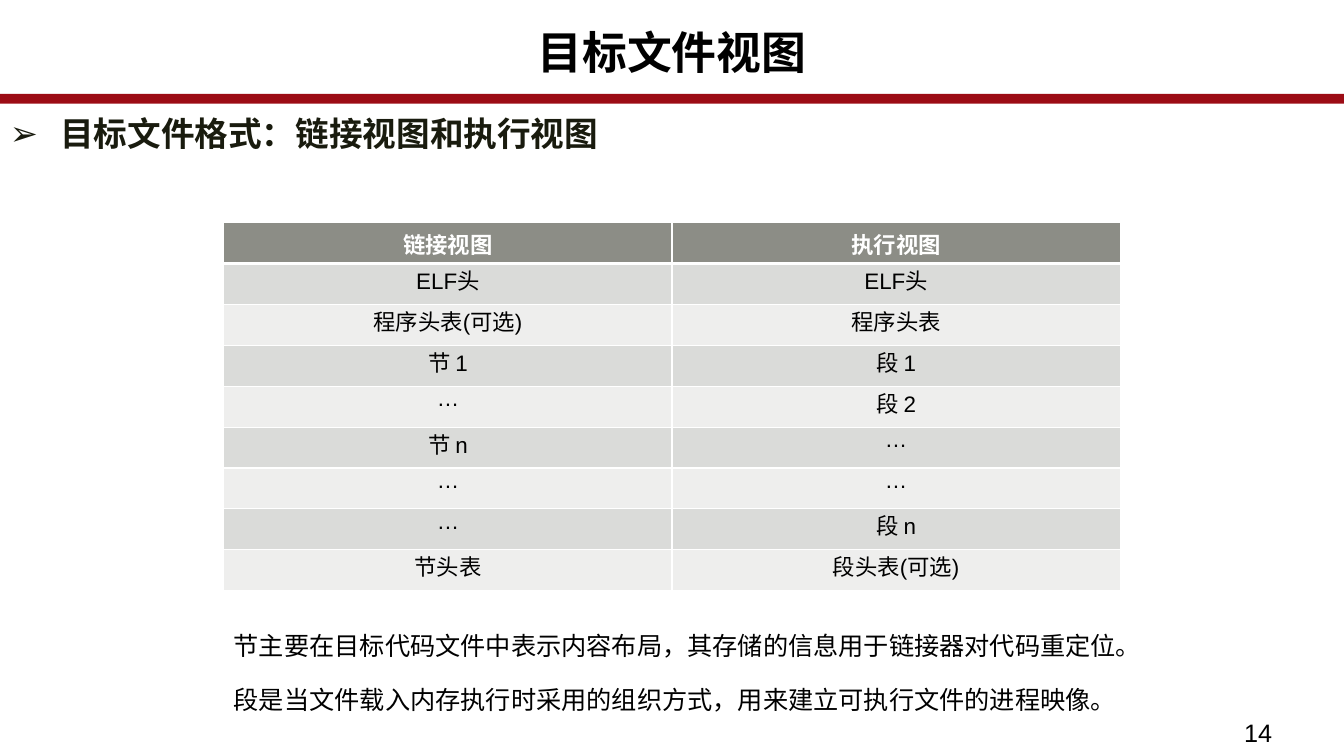
import dataclasses

import lxml.etree
import pptx
import pptx.dml.color
import pptx.enum.shapes
import pptx.enum.text
import pptx.oxml.ns
import pptx.util

Inches = pptx.util.Inches
Pt = pptx.util.Pt
ALIGN = pptx.enum.text.PP_ALIGN
ANCHOR = pptx.enum.text.MSO_ANCHOR


@dataclasses.dataclass(frozen=True)
class Theme:
    """Colours, font and type sizes of the slide."""
    font: str = "Arial"
    ink: str = "000000"
    heading: str = "191B0E"
    white: str = "FFFFFF"
    rule: str = "9C0C15"
    header: str = "8C8D86"
    bands: tuple = ("DADBD9", "EEEEED")
    title_size: int = 32
    heading_size: int = 24
    body_size: int = 18
    table_size: int = 16


THEME = Theme()
ROWS = [
    ("链接视图", "执行视图"),
    ("ELF头", "ELF头"),
    ("程序头表(可选)", "程序头表"),
    ("节 1", "段 1"),
    ("…", "段 2"),
    ("节 n", "…"),
    ("…", "…"),
    ("…", "段 n"),
    ("节头表", "段头表(可选)"),
]
NOTES = [
    "节主要在目标代码文件中表示内容布局，其存储的信息用于链接器对代码重定位。",
    "段是当文件载入内存执行时采用的组织方式，用来建立可执行文件的进程映像。",
]


def rgb(value):
    """Turn a hex string into a colour."""
    return pptx.dml.color.RGBColor.from_string(value)


def add_xml(parent, tag, **attrs):
    """Append a DrawingML element."""
    return lxml.etree.SubElement(parent, pptx.oxml.ns.qn(tag), attrs)


def write(p, text, size=THEME.body_size, color=THEME.ink, bold=False,
          align=ALIGN.LEFT, line=None, before=None):
    """Write formatted text into a paragraph."""
    p.alignment = align
    if line is not None:
        p.line_spacing = line
    if before is not None:
        p.space_before = Pt(before)
    r = p.add_run()
    r.text = text
    r.font.name = THEME.font
    r.font.size = Pt(size)
    r.font.bold = bold
    r.font.color.rgb = rgb(color)


def add_box(s, x, y, w, h):
    """Add a wrapping text box and return its text frame."""
    tf = s.shapes.add_textbox(Inches(x), Inches(y), Inches(w), Inches(h)).text_frame
    tf.word_wrap = True
    return tf


def add_title(s, x, y, w, h):
    """Place the title and the red rule along its lower edge."""
    bar = s.shapes.add_shape(pptx.enum.shapes.MSO_SHAPE.ROUNDED_RECTANGLE,
                             Inches(x), Inches(y + h - 0.06), Inches(w), Inches(0.06))
    bar.shadow.inherit = False
    bar.fill.solid()
    bar.fill.fore_color.rgb = rgb(THEME.rule)
    bar.line.color.rgb = rgb(THEME.rule)
    bar.line.width = Pt(2.75)
    title = s.shapes.title
    title.left, title.top, title.width, title.height = map(Inches, (x, y, w, h))
    tf = title.text_frame
    tf.vertical_anchor = ANCHOR.TOP
    write(tf.paragraphs[0], "目标文件视图", size=THEME.title_size, bold=True,
          align=ALIGN.CENTER, line=0.89)


def add_heading(s, x, y, w, h):
    """Place the bulleted heading."""
    p = add_box(s, x, y, w, h).paragraphs[0]
    ppr = p._p.get_or_add_pPr()
    ppr.set("marL", str(Inches(0.5)))
    ppr.set("indent", str(-Inches(0.5)))
    add_xml(ppr, "a:buFont", typeface=THEME.font)
    add_xml(ppr, "a:buChar", char="➢")
    write(p, "目标文件格式：链接视图和执行视图", size=THEME.heading_size,
          color=THEME.heading, bold=True, line=0.94)


def add_borders(cell, bottom):
    """Draw white borders round a cell."""
    tcpr = cell._tc.get_or_add_tcPr()
    for side, width in (("L", 1), ("R", 1), ("T", 1), ("B", bottom)):
        ln = add_xml(tcpr, f"a:ln{side}", w=str(Pt(width)))
        add_xml(add_xml(ln, "a:solidFill"), "a:srgbClr", val=THEME.white)


def add_views_table(s, x, y, w, h):
    """Place the table that compares the two views."""
    table = s.shapes.add_table(len(ROWS), len(ROWS[0]), Inches(x), Inches(y),
                               Inches(w), Inches(h)).table
    for i, row in enumerate(ROWS):
        header = i == 0
        table.rows[i].height = Inches(h / len(ROWS))
        for j, text in enumerate(row):
            cell = table.cell(i, j)
            add_borders(cell, 3 if header else 1)
            cell.fill.solid()
            cell.fill.fore_color.rgb = rgb(THEME.header if header else THEME.bands[(i - 1) % 2])
            if not header:
                cell.margin_left = cell.margin_right = Inches(0.07)
                cell.margin_top = cell.margin_bottom = 0
            write(cell.text_frame.paragraphs[0], text, size=THEME.table_size,
                  color=THEME.white if header else THEME.ink, bold=header,
                  align=ALIGN.CENTER)


def add_notes(s, x, y, w, h):
    """Place the two explanations below the table."""
    tf = add_box(s, x, y, w, h)
    for i, text in enumerate(NOTES):
        p = tf.add_paragraph() if i else tf.paragraphs[0]
        write(p, text, before=17 if i else None)


def add_page_number(s, x, y, w, h):
    """Place the page number."""
    write(add_box(s, x, y, w, h).paragraphs[0], "14")


def main():
    """Build and save the slide."""
    prs = pptx.Presentation()
    prs.slide_width, prs.slide_height = Inches(13.33), Inches(7.5)
    s = prs.slides.add_slide(prs.slide_layouts[5])
    add_title(s, 0, 0.26, 13.33, 0.75)
    add_heading(s, 0, 1.1, 6.38, 0.6)
    add_views_table(s, 2.22, 2.21, 8.89, 3.65)
    add_notes(s, 2.22, 6.2, 9.08, 1.01)
    add_page_number(s, 12.24, 7.07, 1.09, 0.44)
    prs.save("out.pptx")


if __name__ == "__main__":
    main()
